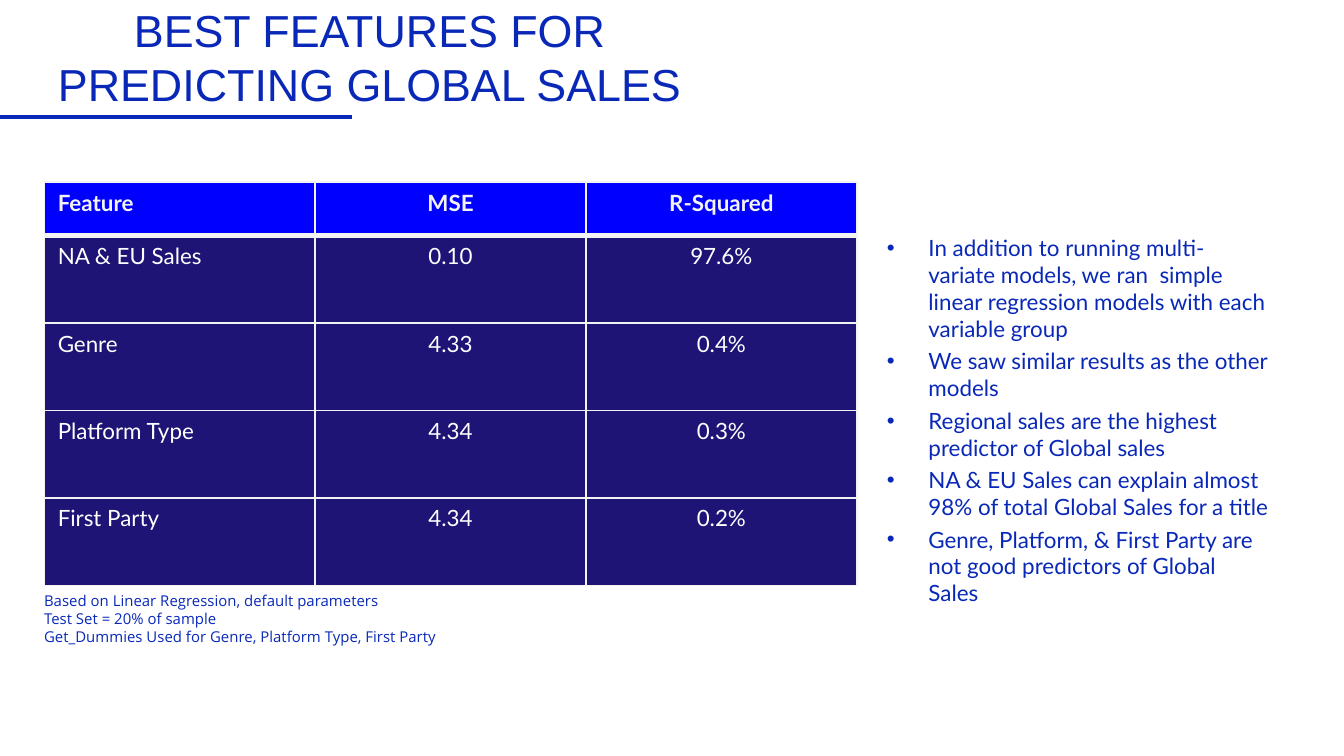
from dataclasses import dataclass

from lxml import etree
from pptx import Presentation, util as u
from pptx.dml.color import RGBColor
from pptx.enum import shapes, text
from pptx.oxml import ns

BLUE = RGBColor(0x09, 0x28, 0xB8)
HEADER_BLUE = RGBColor(0x00, 0x00, 0xFF)
NAVY = RGBColor(0x1D, 0x14, 0x75)
PALE = RGBColor(0xF3, 0xF3, 0xF3)
WHITE = RGBColor(0xFF, 0xFF, 0xFF)

# The 16:9 slide is a grid of 100 columns by 56.25 rows
UNIT = u.Inches(0.1)
SLIDE_COLUMNS, SLIDE_ROWS = 100, 56.25
CENTER = text.PP_ALIGN.CENTER

TABLE_ROWS = [
    ("Feature", "MSE", "R-Squared"),
    ("NA & EU Sales", "0.10", "97.6%"),
    ("Genre", "4.33", "0.4%"),
    ("Platform Type", "4.34", "0.3%"),
    ("First Party", "4.34", "0.2%"),
]
NOTES = [
    "Based on Linear Regression, default parameters",
    "Test Set = 20% of sample",
    "Get_Dummies Used for Genre, Platform Type, First Party",
]
FINDINGS = [
    "In addition to running multi-variate models, we ran  simple linear "
    "regression models with each variable group",
    "We saw similar results as the other models",
    "Regional sales are the highest predictor of Global sales",
    "NA & EU Sales can explain almost 98% of total Global Sales for a title",
    "Genre, Platform, & First Party are not good predictors of Global Sales",
]


@dataclass
class Place:
    column: float
    row: float
    columns: float
    rows: float

    def lengths(self) -> list[int]:
        return [grid(n) for n in (self.column, self.row, self.columns, self.rows)]


@dataclass
class TextBlock:
    place: Place
    lines: list[str]
    font: dict
    frame: dict
    paragraph: dict
    bullet: bool = False
    gap: float = 0


def grid(count: float) -> int:
    return round(count * UNIT)


def apply(target, values: dict) -> None:
    for name, value in values.items():
        setattr(target, name, value)


def style_font(font, values: dict) -> None:
    values = dict(values)
    font.color.rgb = values.pop("color")
    apply(font, values)


def add_bullet(para) -> None:
    properties = para._p.get_or_add_pPr()
    properties.set("marL", str(u.Inches(0.35)))
    properties.set("indent", str(-u.Inches(0.31)))
    color = etree.SubElement(properties, ns.qn("a:buClr"))
    etree.SubElement(color, ns.qn("a:srgbClr"), val=str(BLUE))
    etree.SubElement(properties, ns.qn("a:buFont"), typeface="Arial")
    etree.SubElement(properties, ns.qn("a:buChar"), char="•")


def draw_text(page, block: TextBlock) -> None:
    frame = page.shapes.add_textbox(*block.place.lengths()).text_frame
    apply(frame, {"word_wrap": True, **block.frame})
    for index, line in enumerate(block.lines):
        para = frame.add_paragraph() if index else frame.paragraphs[0]
        if block.bullet:
            add_bullet(para)
        if index and block.gap:
            para.space_before = u.Pt(block.gap)
        apply(para, block.paragraph)
        span = para.add_run()
        span.text = line
        style_font(span.font, block.font)


def add_border(cell, side: str, points: float) -> None:
    line = etree.SubElement(cell._tc.get_or_add_tcPr(), ns.qn(f"a:ln{side}"),
                            w=str(u.Pt(points)))
    fill = etree.SubElement(line, ns.qn("a:solidFill"))
    etree.SubElement(fill, ns.qn("a:srgbClr"), val=str(PALE))


def draw_table(page, place: Place, heights: list[float]) -> None:
    count = len(TABLE_ROWS[0])
    table = page.shapes.add_table(len(TABLE_ROWS), count, *place.lengths()).table
    for column in table.columns:
        column.width = grid(place.columns / count)
    for r, (values, height) in enumerate(zip(TABLE_ROWS, heights)):
        table.rows[r].height = grid(height)
        header = r == 0
        widths = {"L": 1, "R": 1, "T": 3 if r == 1 else 1, "B": 3 if header else 1}
        for c, value in enumerate(values):
            cell = table.cell(r, c)
            for side, points in widths.items():
                add_border(cell, side, points)
            cell.fill.solid()
            cell.fill.fore_color.rgb = HEADER_BLUE if header else NAVY
            para = cell.text_frame.paragraphs[0]
            if c:
                para.alignment = CENTER
            span = para.add_run()
            span.text = value
            style_font(span.font, {"name": "Lato", "size": u.Pt(12), "bold": header,
                                   "color": PALE if header else WHITE})


def draw_rule(page, start: float, end: float, row: float) -> None:
    rule = page.shapes.add_connector(shapes.MSO_CONNECTOR.STRAIGHT, grid(start),
                                     grid(row), grid(end), grid(row))
    rule.line.color.rgb = BLUE
    rule.line.width = u.Pt(2.25)
    etree.SubElement(rule._element.spPr, ns.qn("a:effectLst"))


def main() -> None:
    deck = Presentation()
    deck.slide_width, deck.slide_height = grid(SLIDE_COLUMNS), grid(SLIDE_ROWS)
    page = deck.slides.add_slide(deck.slide_layouts[6])

    # Title
    draw_text(page, TextBlock(
        Place(-1, 1.9, 57, 7.3), ["BEST FEATURES FOR PREDICTING GLOBAL SALES"],
        {"name": "Arial", "size": u.Pt(24), "color": BLUE},
        {"vertical_anchor": text.MSO_ANCHOR.BOTTOM,
         "margin_top": UNIT, "margin_bottom": UNIT},
        {"alignment": CENTER}))

    # Feature scores
    heights = [4] + [6.5] * (len(TABLE_ROWS) - 1)
    draw_table(page, Place(3.3, 13.55, 60.45, sum(heights)), heights)

    # Notes under the table
    draw_text(page, TextBlock(
        Place(2.3, 43.55, 54.3, 6.1), NOTES,
        {"name": "Open Sans", "size": u.Pt(8), "color": BLUE}, {}, {}))

    # Findings
    draw_text(page, TextBlock(
        Place(64.6, 16.95, 30.8, 31.8), FINDINGS,
        {"name": "Lato", "size": u.Pt(12), "color": BLUE}, {}, {},
        bullet=True, gap=3))

    # Rule under the title
    draw_rule(page, 0, 26.2, 8.7)

    deck.save("out.pptx")


if __name__ == "__main__":
    main()
